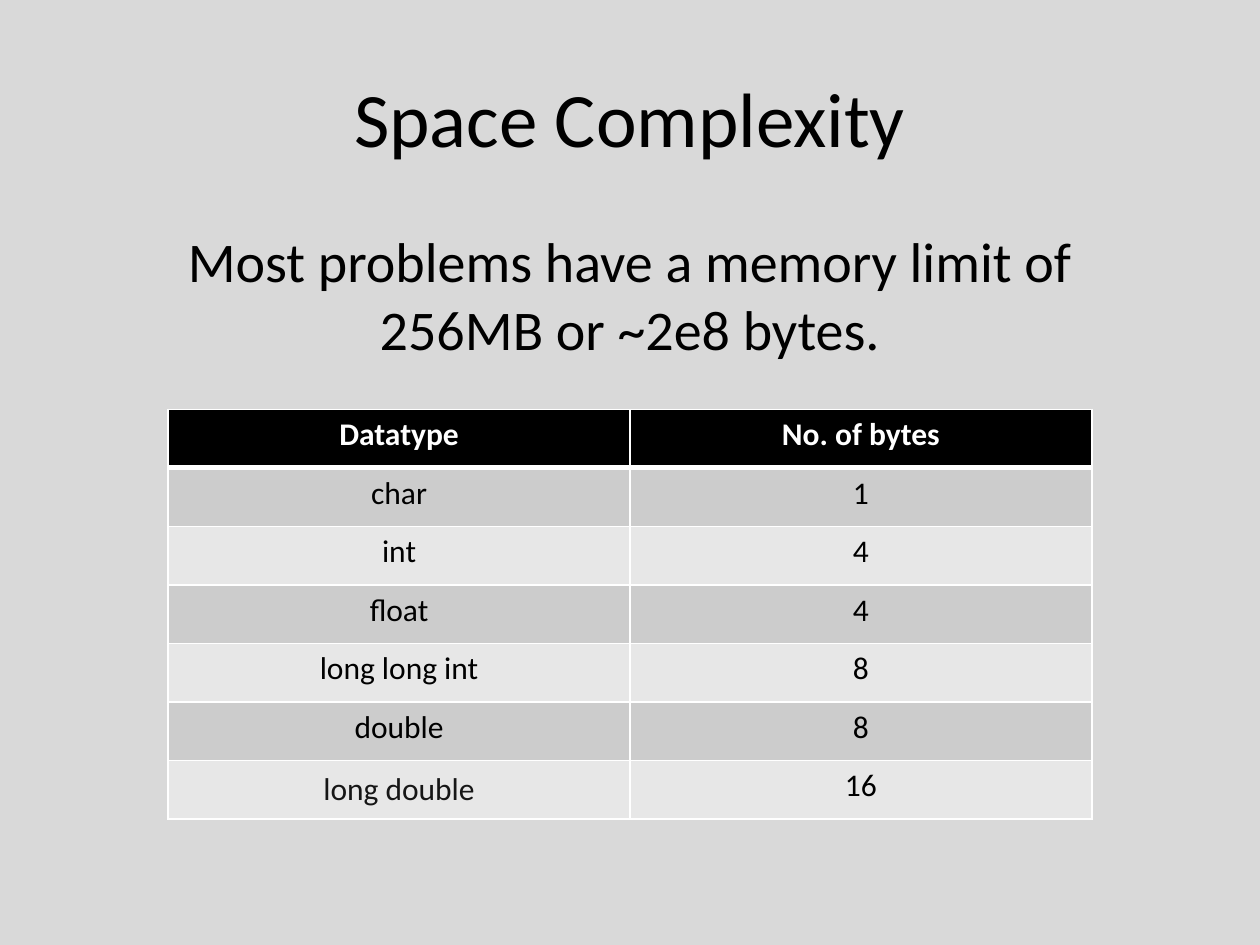
from lxml.etree import SubElement
from pptx import Presentation
from pptx.dml.color import RGBColor
from pptx.enum.text import MSO_ANCHOR, PP_ALIGN
from pptx.oxml.ns import qn
from pptx.util import Cm, Pt

# Content
TITLE = "Space Complexity"
BODY = "Most problems have a memory limit of\v256MB or ~2e8 bytes."
ROWS = [
    ("Datatype", "No. of bytes"),
    ("char", "1"),
    ("int", "4"),
    ("float", "4"),
    ("long long int", "8"),
    ("double", "8"),
    ("long double", "16"),
]

COLORS = {
    "background": "D9D9D9",
    "text": "000000",
    "soft": "161616",
    "header": "000000",
    "white": "FFFFFF",
    "odd": "CCCCCC",
    "even": "E7E7E7",
}

# Layout: left, top, width, height
TITLE_BOX = (Cm(1.27), Cm(0.76), Cm(22.86), Cm(3.18))
BODY_BOX = (Cm(1.27), Cm(4.45), Cm(22.86), Cm(13.34))
TABLE_LEFT, TABLE_TOP = Cm(3.39), Cm(8.25)
COL_WIDTH, ROW_HEIGHT = Cm(9.31), Cm(1.18)


def rgb(name):
    return RGBColor.from_string(COLORS[name])


def write(tf, text, size, color="text", bold=False, anchor=MSO_ANCHOR.TOP):
    tf.word_wrap = True
    tf.vertical_anchor = anchor
    p = tf.paragraphs[0]
    p.text = text
    p.alignment = PP_ALIGN.CENTER
    for r in p.runs:
        for key, value in {"name": "Calibri", "size": Pt(size), "bold": bold}.items():
            setattr(r.font, key, value)
        r.font.color.rgb = rgb(color)


def add_borders(cell, widths):
    tc_pr = cell._tc.get_or_add_tcPr()
    for side, width in widths.items():
        ln = SubElement(tc_pr, qn(f"a:ln{side}"), w=str(Pt(width)))
        fill = SubElement(ln, qn("a:solidFill"))
        SubElement(fill, qn("a:srgbClr"), val=COLORS["white"])


prs = Presentation()
prs.slide_width, prs.slide_height = Cm(25.4), Cm(19.05)
s = prs.slides.add_slide(prs.slide_layouts.get_by_name("Title Only"))
s.background.fill.solid()
s.background.fill.fore_color.rgb = rgb("background")

# Title
title = s.shapes.title
title.left, title.top, title.width, title.height = TITLE_BOX
write(title.text_frame, TITLE, 44, anchor=MSO_ANCHOR.MIDDLE)

# Memory limit statement
body = s.shapes.add_textbox(*BODY_BOX)
write(body.text_frame, BODY, 32)

# Datatype table
n_rows, n_cols = len(ROWS), len(ROWS[0])
table = s.shapes.add_table(n_rows, n_cols, TABLE_LEFT, TABLE_TOP,
                           n_cols * COL_WIDTH, n_rows * ROW_HEIGHT).table
for col in table.columns:
    col.width = COL_WIDTH
for i, row in enumerate(ROWS):
    table.rows[i].height = ROW_HEIGHT
    header = i == 0
    fill = "header" if header else "odd" if i % 2 else "even"
    for j, text in enumerate(row):
        cell = table.cell(i, j)
        add_borders(cell, {"L": 1, "R": 1, "T": 3 if i == 1 else 1, "B": 3 if header else 1})
        cell.fill.solid()
        cell.fill.fore_color.rgb = rgb(fill)
        soft = text == "long double"
        write(cell.text_frame, text, 18, "white" if header else "soft" if soft else "text", header)
        cell.vertical_anchor = MSO_ANCHOR.MIDDLE if soft else MSO_ANCHOR.TOP

prs.save("out.pptx")
